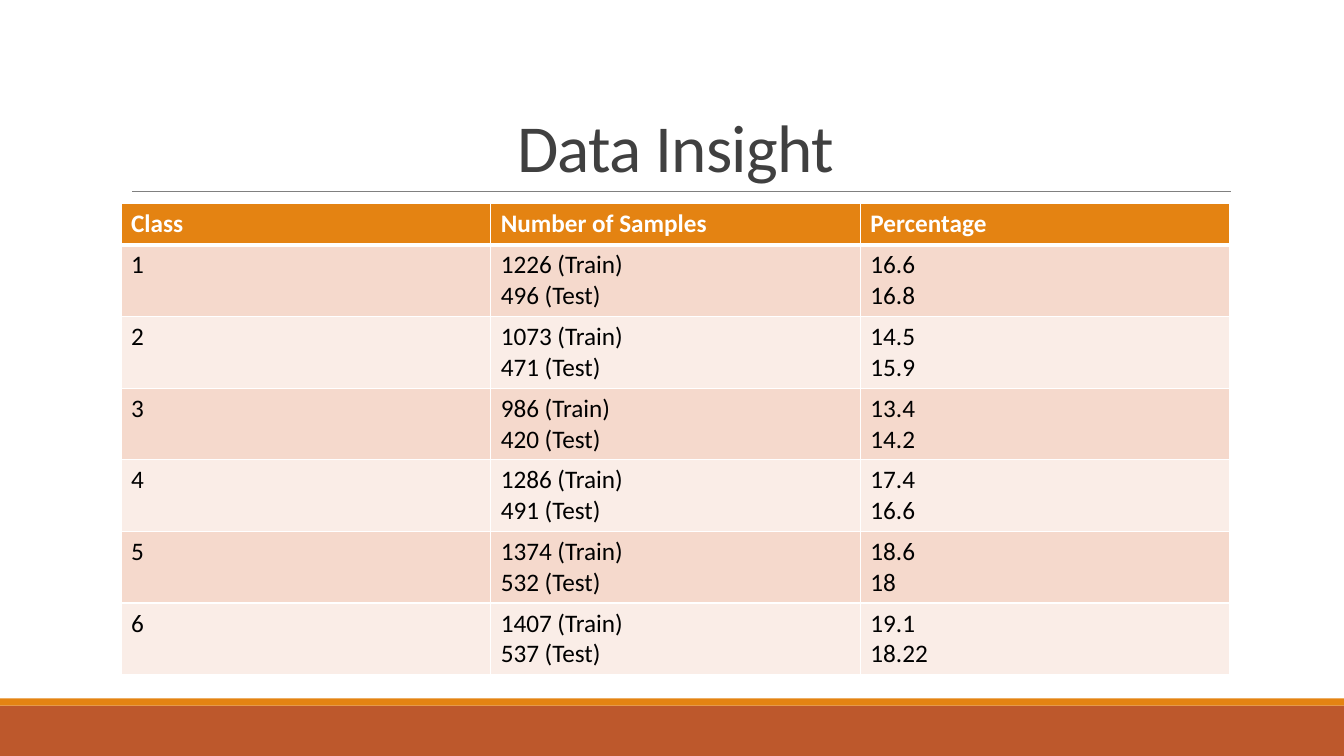
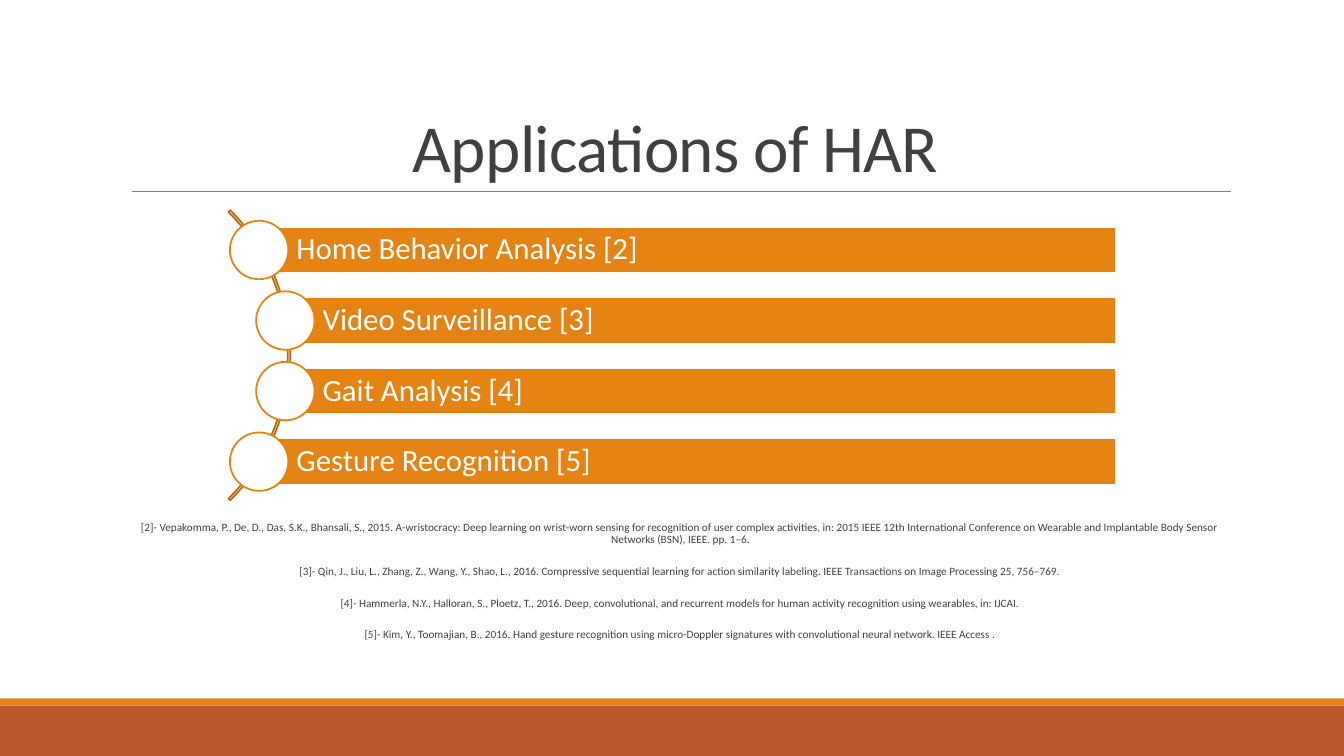
from dataclasses import dataclass

from lxml.etree import SubElement
from pptx import Presentation
from pptx.dml.color import RGBColor
from pptx.enum.shapes import MSO_CONNECTOR as Connector, MSO_SHAPE as Shape
from pptx.enum.text import MSO_ANCHOR as Anchor, MSO_AUTO_SIZE as AutoSize, PP_ALIGN as Align
from pptx.oxml import parse_xml
from pptx.oxml.ns import nsdecls, qn
from pptx.util import Inches, Pt


@dataclass(frozen=True)
class Theme:
    font: str = "Calibri"
    orange: str = "E48312"
    rust: str = "BD582C"
    brown: str = "B7690E"
    ink: str = "404040"
    rule: str = "808080"
    white: str = "FFFFFF"
    black: str = "000000"
    stripes: tuple = ("F5D9CC", "FAEDE7")
    title_size: float = 48
    bar_size: float = 22
    table_size: float = 18
    source_size: float = 8
    outline: float = 1.25


class Deck:
    def __init__(self, theme):
        self.theme = theme
        self.prs = Presentation()
        self.prs.slide_width, self.prs.slide_height = Inches(13.33), Inches(7.5)
        self.layout = self.prs.slide_layouts[5]
        self.slide = None

    def add_slide(self, title):
        first = self.slide is None
        self.slide = self.prs.slides.add_slide(self.layout)
        if first:
            self.add_frame()
        heading = self.slide.shapes.title
        heading.left, heading.top = Inches(1.2), Inches(0.31)
        heading.width, heading.height = Inches(11), Inches(1.59)
        frame = heading.text_frame
        frame.auto_size = AutoSize.NONE
        frame.vertical_anchor = Anchor.BOTTOM
        paragraph = frame.paragraphs[0]
        paragraph.alignment, paragraph.line_spacing = Align.CENTER, 0.85
        run = self.add_text(paragraph, title, self.theme.title_size, self.theme.ink)
        run.font._element.set("spc", "-50")

    def add_frame(self):
        band = self.shape(Shape.RECTANGLE, 0, 7, 13.33, 0.5, fill=self.theme.rust)
        strip = self.shape(Shape.RECTANGLE, 0, 6.93, 13.33, 0.07, fill=self.theme.orange)
        rule = self.line(1.31, 1.9, 12.21, 1.9, self.theme.rule, 0.5)
        for number, part in enumerate((band, strip, rule), start=100):
            part._element.xpath(".//p:cNvPr")[0].set("id", str(number))
            self.layout.shapes._spTree.append(part._element)

    def add_text(self, paragraph, text, size, color, bold=False):
        run = paragraph.add_run()
        run.text = text
        run.font.name, run.font.size, run.font.bold = self.theme.font, Pt(size), bold
        run.font.color.rgb = RGBColor.from_string(color)
        return run

    def shape(self, kind, left, top, width, height, fill=None, line=None):
        shape = self.slide.shapes.add_shape(
            kind, Inches(left), Inches(top), Inches(width), Inches(height))
        shape.shadow.inherit = False
        if fill:
            shape.fill.solid()
            shape.fill.fore_color.rgb = RGBColor.from_string(fill)
        else:
            shape.fill.background()
        if line:
            shape.line.color.rgb = RGBColor.from_string(line)
            shape.line.width = Pt(self.theme.outline)
        else:
            shape.line.fill.background()
        return shape

    def line(self, x1, y1, x2, y2, color, width):
        line = self.slide.shapes.add_connector(
            Connector.STRAIGHT, Inches(x1), Inches(y1), Inches(x2), Inches(y2))
        line.line.color.rgb = RGBColor.from_string(color)
        line.line.width = Pt(width)
        SubElement(line._element.spPr, qn("a:effectLst"))
        return line

    def bar(self, text, left, top, width, height):
        bar = self.shape(Shape.RECTANGLE, left, top, width, height,
                         self.theme.orange, self.theme.white)
        frame = bar.text_frame
        frame.word_wrap = True
        frame.vertical_anchor = Anchor.MIDDLE
        frame.margin_left = Inches(0.37)
        frame.margin_top = frame.margin_right = frame.margin_bottom = Inches(0.06)
        paragraph = frame.paragraphs[0]
        paragraph.alignment, paragraph.line_spacing = Align.LEFT, 0.9
        self.add_text(paragraph, text, self.theme.bar_size, self.theme.white)

    def sources(self, texts, left, top, width, height):
        box = self.slide.shapes.add_textbox(
            Inches(left), Inches(top), Inches(width), Inches(height))
        frame = box.text_frame
        frame.word_wrap = True
        frame.margin_left = frame.margin_right = 0
        for index, text in enumerate(texts):
            paragraph = frame.add_paragraph() if index else frame.paragraphs[0]
            paragraph.alignment, paragraph.line_spacing = Align.CENTER, 0.9
            paragraph.space_after = Pt(14)
            self.add_text(paragraph, text, self.theme.source_size, self.theme.ink)

    def cell(self, cell, lines, fill, color, bold, bottom):
        cell.fill.solid()
        cell.fill.fore_color.rgb = RGBColor.from_string(fill)
        for index, text in enumerate(lines):
            paragraph = cell.text_frame.add_paragraph() if index else cell.text_frame.paragraphs[0]
            self.add_text(paragraph, text, self.theme.table_size, color, bold)
        properties = cell._tc.get_or_add_tcPr()
        for index, (side, width) in enumerate((("L", 1), ("R", 1), ("T", 1), ("B", bottom))):
            properties.insert(index, parse_xml(
                f'<a:ln{side} {nsdecls("a")} w="{Pt(width)}"><a:solidFill>'
                f'<a:srgbClr val="{self.theme.white}"/></a:solidFill></a:ln{side}>'))

    def table(self, header, rows, left, top, width, header_height, row_height):
        height = header_height + row_height * len(rows)
        table = self.slide.shapes.add_table(
            len(rows) + 1, len(header), Inches(left), Inches(top),
            Inches(width), Inches(height)).table
        for row in table.rows:
            row.height = Inches(row_height)
        table.rows[0].height = Inches(header_height)
        for column, text in enumerate(header):
            self.cell(table.cell(0, column), [text], self.theme.orange,
                      self.theme.white, True, 3)
        for index, row in enumerate(rows):
            for column, lines in enumerate(row):
                self.cell(table.cell(index + 1, column), lines,
                          self.theme.stripes[index % 2], self.theme.black, False, 1)


SAMPLES = [
    (1226, 496, "16.6", "16.8"),
    (1073, 471, "14.5", "15.9"),
    (986, 420, "13.4", "14.2"),
    (1286, 491, "17.4", "16.6"),
    (1374, 532, "18.6", "18"),
    (1407, 537, "19.1", "18.22"),
]
APPLICATIONS = [
    ("Home Behavior Analysis [2]", 2.57),
    ("Video Surveillance [3]", 2.83),
    ("Gait Analysis [4]", 2.83),
    ("Gesture Recognition [5]", 2.57),
]
SOURCES = [
    "[2]- Vepakomma, P., De, D., Das, S.K., Bhansali, S., 2015. A-wristocracy: Deep learning on "
    "wrist-worn sensing for recognition of user complex activities, in: 2015 IEEE 12th "
    "International Conference on Wearable and Implantable Body Sensor Networks (BSN), IEEE. "
    "pp. 1–6.",
    "[3]- Qin, J., Liu, L., Zhang, Z., Wang, Y., Shao, L., 2016. Compressive sequential learning "
    "for action similarity labeling. IEEE Transactions on Image Processing 25, 756–769.",
    "[4]- Hammerla, N.Y., Halloran, S., Ploetz, T., 2016. Deep, convolutional, and recurrent "
    "models for human activity recognition using wearables, in: IJCAI.",
    "[5]- Kim, Y., Toomajian, B., 2016. Hand gesture recognition using micro-Doppler signatures "
    "with convolutional neural network. IEEE Access .",
]


def data_insight(deck):
    deck.add_slide("Data Insight")
    rows = [
        ([str(number)], [f"{train} (Train)", f"{test} (Test)"], [train_share, test_share])
        for number, (train, test, train_share, test_share) in enumerate(SAMPLES, start=1)
    ]
    deck.table(["Class", "Number of Samples", "Percentage"], rows, 1.2, 2.02, 11, 0.41, 0.71)


def applications(deck):
    deck.add_slide("Applications of HAR")
    theme = deck.theme
    deck.sources(SOURCES, 1.3, 5.13, 10.9, 1.29)
    arc = deck.shape(Shape.BLOCK_ARC, -1.19, 1.49, 4.07, 4.07, line=theme.brown)
    for index, value in enumerate((189, 27, 0.006)):
        arc.adjustments[index] = value
    right, first_top, step, bar_height, ring = 11.07, 2.25, 0.7, 0.46, 0.58
    for index, (text, left) in enumerate(APPLICATIONS):
        top = first_top + index * step
        deck.bar(text, left, top, right - left, bar_height)
        deck.shape(Shape.OVAL, left - ring / 2, top - (ring - bar_height) / 2, ring, ring,
                   theme.white, theme.orange)


def main():
    deck = Deck(Theme())
    data_insight(deck)
    applications(deck)
    deck.prs.save("out.pptx")


if __name__ == "__main__":
    main()
